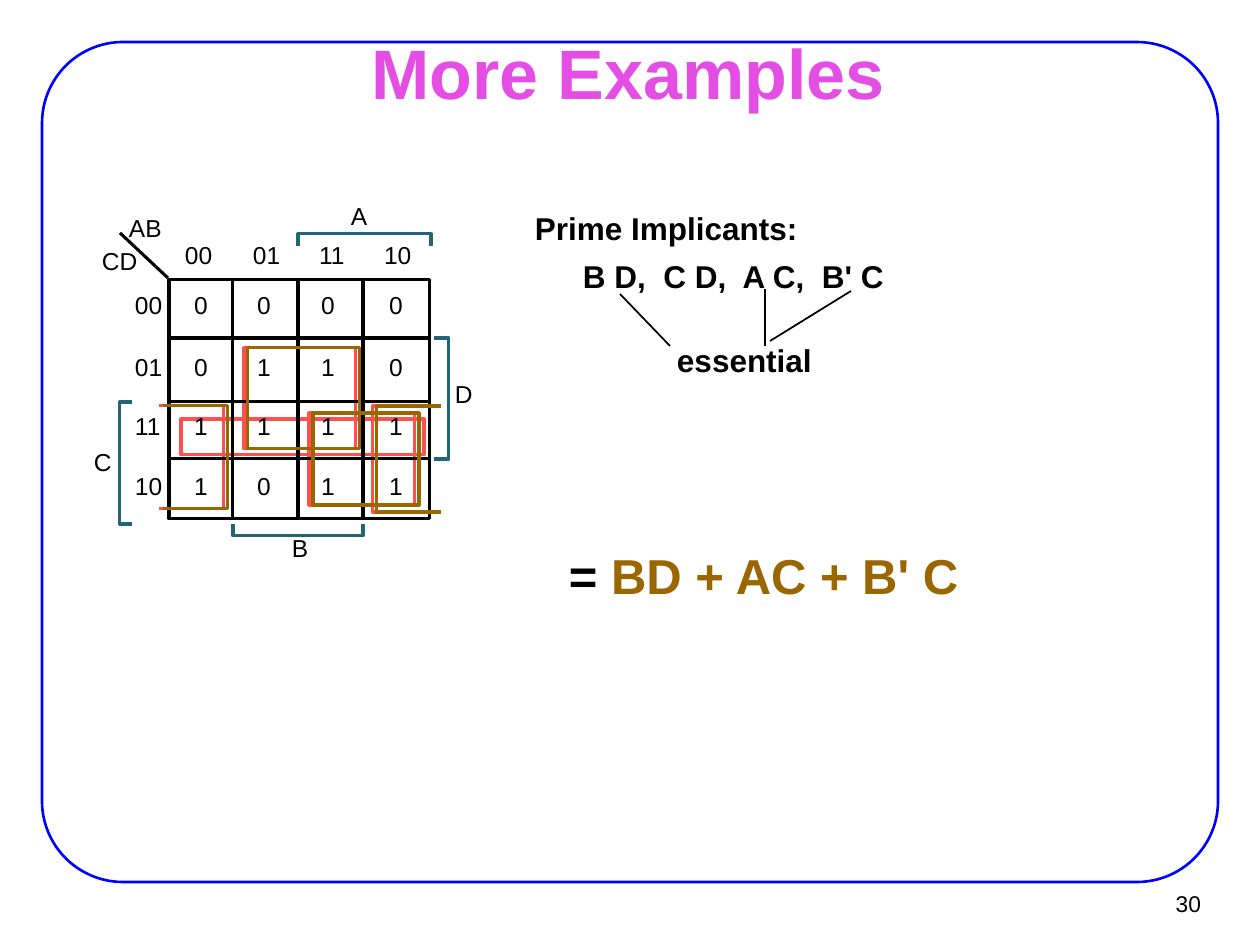
from typing import NamedTuple

from lxml import etree
from pptx import Presentation
from pptx.dml.color import RGBColor
from pptx.enum.shapes import MSO_CONNECTOR, MSO_SHAPE
from pptx.enum.text import MSO_ANCHOR, MSO_AUTO_SIZE, PP_ALIGN
from pptx.oxml.ns import qn
from pptx.util import Emu, Pt

EMU_PER_PX = 914400 / 126
FONT = "Arial"

BLACK = RGBColor(0x00, 0x00, 0x00)
BLUE = RGBColor(0x00, 0x00, 0xFF)
PINK = RGBColor(0xE4, 0x4E, 0xE4)
RED = RGBColor(0xFF, 0x50, 0x50)
BROWN = RGBColor(0x99, 0x66, 0x00)
TEAL = RGBColor(0x22, 0x65, 0x77)

RECT = MSO_SHAPE.RECTANGLE
ROUND_RECT = MSO_SHAPE.ROUNDED_RECTANGLE
STRAIGHT = MSO_CONNECTOR.STRAIGHT
TOP, MIDDLE = MSO_ANCHOR.TOP, MSO_ANCHOR.MIDDLE
LEFT, CENTER, RIGHT = PP_ALIGN.LEFT, PP_ALIGN.CENTER, PP_ALIGN.RIGHT
FIT_SHAPE, NO_FIT = MSO_AUTO_SIZE.SHAPE_TO_FIT_TEXT, MSO_AUTO_SIZE.NONE


class Box(NamedTuple):
    x: int
    y: int
    w: int
    h: int


class Segment(NamedTuple):
    x1: int
    y1: int
    x2: int
    y2: int


class Label(NamedTuple):
    text: str
    box: Box


class Bracket(NamedTuple):
    points: tuple[tuple[int, int], ...]


FRAME = Box(42, 42, 1176, 840)
FRAME_RADIUS = 81
MAP_BOX = Box(169, 280, 261, 239)
ROW_LINES = (338, 402, 459)
COL_LINES = (233, 298, 363)
CODES = ("00", "01", "11", "10")
CODE_XS = (185, 253, 319, 384)
CELL_XS = (194, 257, 321, 389)
ROW_YS = (290, 352, 411, 471)
CELLS = ("0000", "0110", "1111", "1011")
LOOP_SHIFT = 4

CD_LOOP = Box(181, 419, 243, 36)
ESSENTIAL_BOXES = (Box(244, 348, 112, 101), Box(309, 413, 106, 92))
ESSENTIAL_HALVES = (
    Bracket(((437, 406), (373, 406), (373, 512), (437, 512))),
    Bracket(((159, 406), (224, 406), (224, 509), (159, 509))),
)
VARIABLE_BRACKETS = (
    Bracket(((298, 246), (298, 234), (431, 234), (431, 246))),
    Bracket(((132, 524), (120, 524), (120, 402), (132, 402))),
    Bracket(((363, 524), (363, 536), (233, 536), (233, 524))),
    Bracket(((434, 338), (449, 338), (449, 459), (434, 459))),
)
VARIABLES = (
    Label("AB", Box(129, 213, 39, 29)),
    Label("CD", Box(102, 246, 43, 29)),
    Label("A", Box(351, 201, 24, 29)),
    Label("B", Box(292, 533, 24, 29)),
    Label("C", Box(94, 447, 25, 29)),
    Label("D", Box(455, 379, 25, 29)),
)
IMPLICANTS = (
    Label("Prime Implicants:", Box(526, 211, 286, 39)),
    Label("B D,  C D,  A C,  B' C", Box(574, 259, 325, 39)),
    Label("essential", Box(668, 343, 160, 39)),
)
POINTERS = (
    Segment(670, 346, 620, 294),
    Segment(765, 346, 765, 289),
    Segment(770, 341, 851, 291),
)


def px(n: float) -> Emu:
    return Emu(round(n * EMU_PER_PX))


def place(sp, box: Box) -> None:
    sp.left, sp.top, sp.width, sp.height = map(px, box)


def put_text(sp, *runs, size=14, bold=False, align=LEFT, anchor=TOP,
             inset=(0, 0), wrap=False, fit=FIT_SHAPE, spacing=1.0) -> None:
    tf = sp.text_frame
    tf.word_wrap, tf.auto_size, tf.vertical_anchor = wrap, fit, anchor
    tf.margin_left = tf.margin_right = px(inset[0])
    tf.margin_top = tf.margin_bottom = px(inset[1])
    p = tf.paragraphs[0]
    p.alignment, p.line_spacing = align, spacing
    for text, color in runs:
        r = p.add_run()
        r.text = text
        r.font.name, r.font.size, r.font.bold = FONT, Pt(size), bold
        r.font.color.rgb = color


def add_text(s, box: Box, *runs, **fmt) -> None:
    put_text(s.shapes.add_textbox(*map(px, box)), *runs, **fmt)


def outline(sp, color: RGBColor, width: float) -> None:
    sp.fill.background()
    sp.line.color.rgb, sp.line.width = color, Pt(width)
    sp.shadow.inherit = False


def add_box(s, box: Box, color: RGBColor, width=1.75, kind=RECT):
    sp = s.shapes.add_shape(kind, *map(px, box))
    outline(sp, color, width)
    return sp


def add_bracket(s, bracket: Bracket, color: RGBColor, dx=0) -> None:
    points = [(x + dx, y) for x, y in bracket.points]
    fb = s.shapes.build_freeform(*points[0], scale=EMU_PER_PX)
    fb.add_line_segments(points[1:], close=False)
    outline(fb.convert_to_shape(), color, 1.75)


def add_line(s, seg: Segment, width=1.75) -> None:
    cn = s.shapes.add_connector(STRAIGHT, *map(px, seg))
    cn.line.color.rgb, cn.line.width = BLACK, Pt(width)
    etree.SubElement(cn._element.spPr, qn("a:effectLst"))


def add_loops(s, color: RGBColor, dx=0) -> None:
    for half in ESSENTIAL_HALVES:
        add_bracket(s, half, color, dx)
    for box in ESSENTIAL_BOXES:
        add_box(s, box._replace(x=box.x + dx), color)


def add_map(s) -> None:
    add_box(s, MAP_BOX, BLACK)
    for y in ROW_LINES:
        add_line(s, Segment(168, y, 429, y))
    for x in COL_LINES:
        add_line(s, Segment(x, 278, x, 517))
    add_line(s, Segment(168, 278, 120, 233))
    for code, x, y in zip(CODES, CODE_XS, ROW_YS):
        add_text(s, Box(x, 240, 34, 29), (code, BLACK))
        add_text(s, Box(135, y, 34, 29), (code, BLACK))
    for row, y in zip(CELLS, ROW_YS):
        for value, x in zip(row, CELL_XS):
            add_text(s, Box(x, y, 20, 29), (value, BLACK))
    for bracket in VARIABLE_BRACKETS:
        add_bracket(s, bracket, TEAL)
    for label in VARIABLES:
        add_text(s, label.box, (label.text, BLACK))


def main() -> None:
    prs = Presentation()
    prs.slide_width, prs.slide_height = px(1260), px(945)
    s = prs.slides.add_slide(prs.slide_layouts[5])

    frame = add_box(s, FRAME, BLUE, 1.5, ROUND_RECT)
    frame.adjustments[0] = FRAME_RADIUS / FRAME.h
    add_text(s, Box(1136, 880, 76, 46), ("30", BLACK), size=13, align=RIGHT,
             anchor=MIDDLE, inset=(11, 5), fit=NO_FIT)

    title = s.shapes.title
    place(title, Box(362, 25, 532, 91))
    put_text(title, ("More Examples", PINK), size=40, bold=True, align=CENTER,
             inset=(9, 4), wrap=True)

    statement = {"bold": True, "inset": (9, 4), "spacing": 0.85}
    for label in IMPLICANTS:
        add_text(s, label.box, (label.text, BLACK), size=18, **statement)
    for pointer in POINTERS:
        add_line(s, pointer, 1)
    add_text(s, Box(560, 551, 412, 57), ("= ", BLACK),
             ("BD + AC + B' C", BROWN), size=28, **statement)

    add_box(s, CD_LOOP, RED)
    add_loops(s, RED)
    add_map(s)
    add_loops(s, BROWN, LOOP_SHIFT)

    prs.save("out.pptx")


if __name__ == "__main__":
    main()
